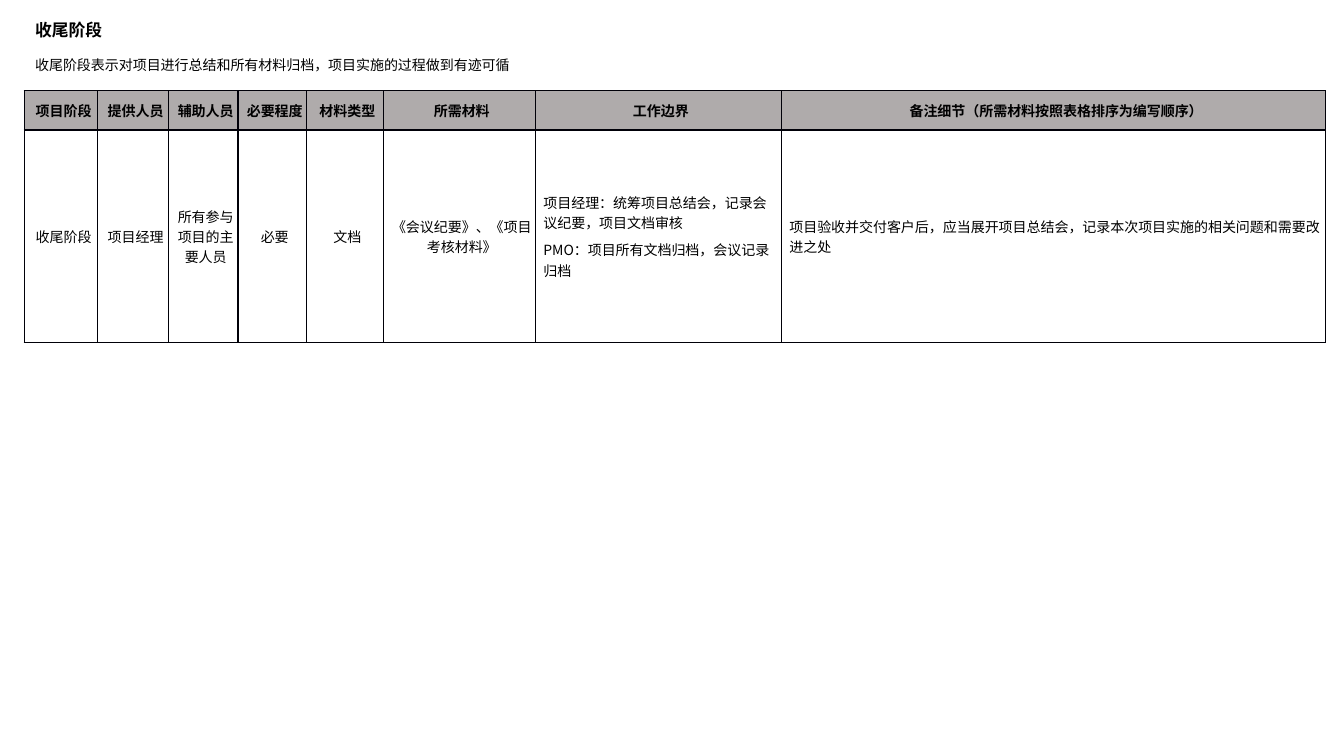
import pptx
import pptx.util
import pptx.dml.color
import pptx.enum.text
import pptx.oxml

Pt = pptx.util.Pt
ALIGN = pptx.enum.text.PP_ALIGN
MID = pptx.enum.text.MSO_ANCHOR.MIDDLE
NOTO = "Noto Sans CJK SC"
INK = "000000"
GRAY = "AFABAB"
EDGE = "000008"
NS = "http://schemas.openxmlformats.org/drawingml/2006/main"

COLS = [73, 70, 69, 68, 76, 151, 244, 540]
ROWS = [39, 211]
HEADS = ["项目阶段", "提供人员", "辅助人员", "必要程度", "材料类型", "所需材料",
         "工作边界", "备注细节（所需材料按照表格排序为编写顺序）"]
STAGE = [
    "收尾阶段",
    "项目经理",
    "所有参与项目的主要人员",
    "必要",
    "文档",
    "《会议纪要》、《项目考核材料》",
    ["项目经理：统筹项目总结会，记录会议纪要，项目文档审核",
     "PMO：项目所有文档归档，会议记录归档"],
    "项目验收并交付客户后，应当展开项目总结会，记录本次项目实施的相关问题和需要改进之处",
]


def px(n):
    return pptx.util.Emu(n * 9144)


def color(code):
    return pptx.dml.color.RGBColor.from_string(code)


def write(para, text, size=10, face=NOTO, bold=False, ink=INK,
          align=ALIGN.LEFT, after=0, indent=0):
    para.alignment = align
    para.space_after = Pt(after)
    if indent:
        props = para._p.get_or_add_pPr()
        props.set("marL", str(px(indent)))
        props.set("indent", "0")
    run = para.add_run()
    run.text = text
    font = run.font
    font.size = Pt(size)
    font.name = face
    font.bold = bold
    font.color.rgb = color(ink)
    east = pptx.oxml.parse_xml(f'<a:ea xmlns:a="{NS}" typeface="{face}"/>')
    font._element.find(f"{{{NS}}}latin").addnext(east)


def border(cell):
    props = cell._tc.get_or_add_tcPr()
    for spot, side in enumerate(["lnL", "lnR", "lnT", "lnB"]):
        props.insert(spot, pptx.oxml.parse_xml(
            f'<a:{side} xmlns:a="{NS}" w="{Pt(1)}"><a:solidFill>'
            f'<a:srgbClr val="{EDGE}"/></a:solidFill></a:{side}>'))


def fill_cell(cell, text, head, align):
    cell.vertical_anchor = MID
    cell.margin_left = cell.margin_right = px(3)
    cell.margin_top = cell.margin_bottom = px(3)
    if head:
        cell.fill.solid()
        cell.fill.fore_color.rgb = color(GRAY)
    else:
        cell.fill.background()
    border(cell)
    many = isinstance(text, list)
    frame = cell.text_frame
    for spot, line in enumerate(text if many else [text]):
        para = frame.add_paragraph() if spot else frame.paragraphs[0]
        write(para, line, bold=head, align=align, indent=5,
              after=5 if many else 0)


def intro(slide, x, y, w, h):
    box = slide.shapes.add_textbox(px(x), px(y), px(w), px(h))
    frame = box.text_frame
    frame.word_wrap = True
    write(frame.paragraphs[0], "收尾阶段", size=12, face="Calibri",
          bold=True, after=12)
    write(frame.add_paragraph(),
          "收尾阶段表示对项目进行总结和所有材料归档，项目实施的过程做到有迹可循")


def stage_table(slide, x, y, w, h):
    table = slide.shapes.add_table(len(ROWS), len(COLS),
                                   px(x), px(y), px(w), px(h)).table
    table.first_row = table.horz_banding = False
    for col, wide in zip(table.columns, COLS):
        col.width = px(wide)
    for row, high in zip(table.rows, ROWS):
        row.height = px(high)
    for r, texts in enumerate([HEADS, STAGE]):
        for c, text in enumerate(texts):
            left = r > 0 and c >= 6
            fill_cell(table.cell(r, c), text, r == 0,
                      ALIGN.LEFT if left else ALIGN.CENTER)


def main():
    deck = pptx.Presentation()
    deck.slide_width = px(1333)
    deck.slide_height = px(750)
    slide = deck.slides.add_slide(deck.slide_layouts[6])
    stage_table(slide, 24, 90, sum(COLS), sum(ROWS))
    intro(slide, 25, 15, 1291, 67)
    deck.save("out.pptx")


if __name__ == "__main__":
    main()
